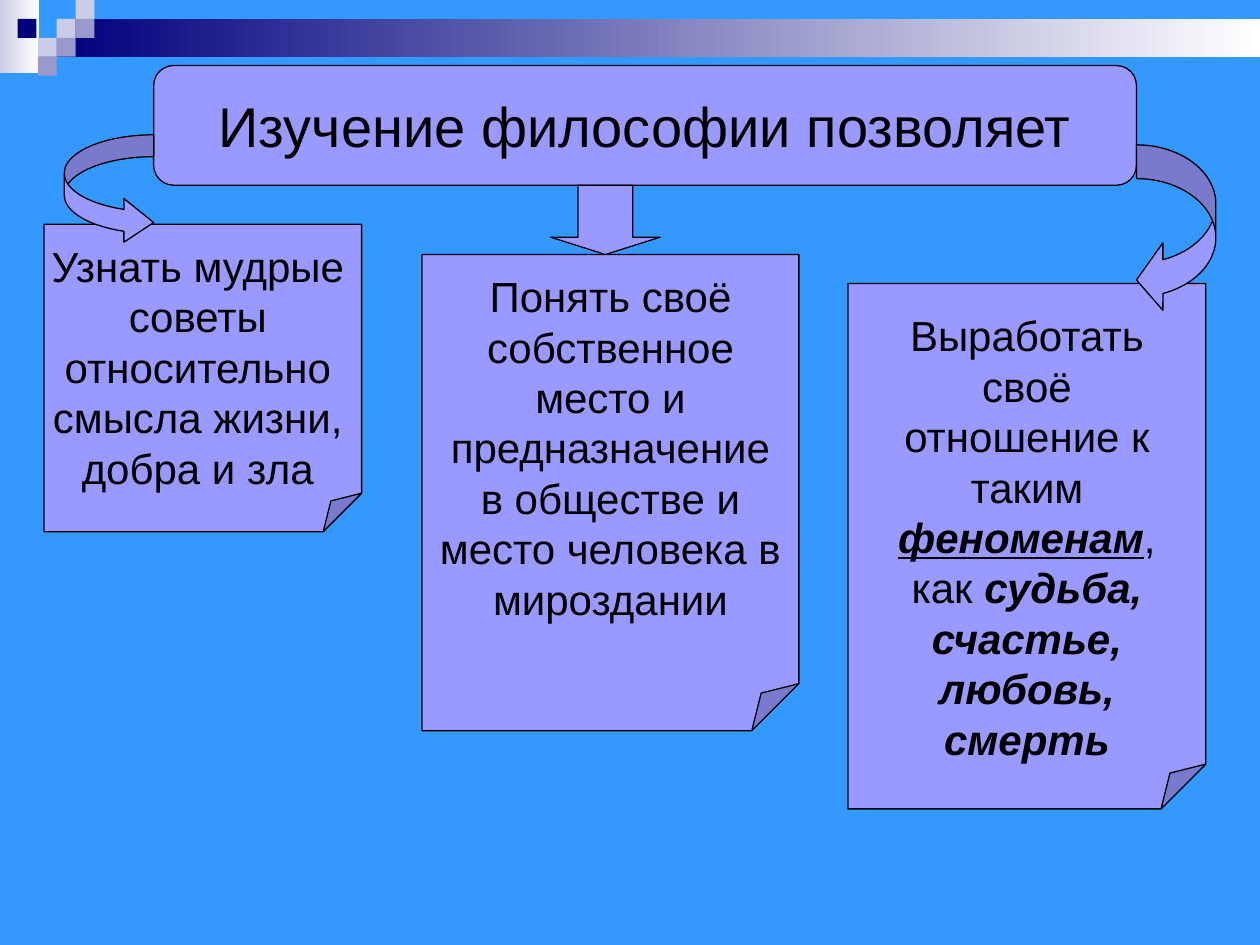
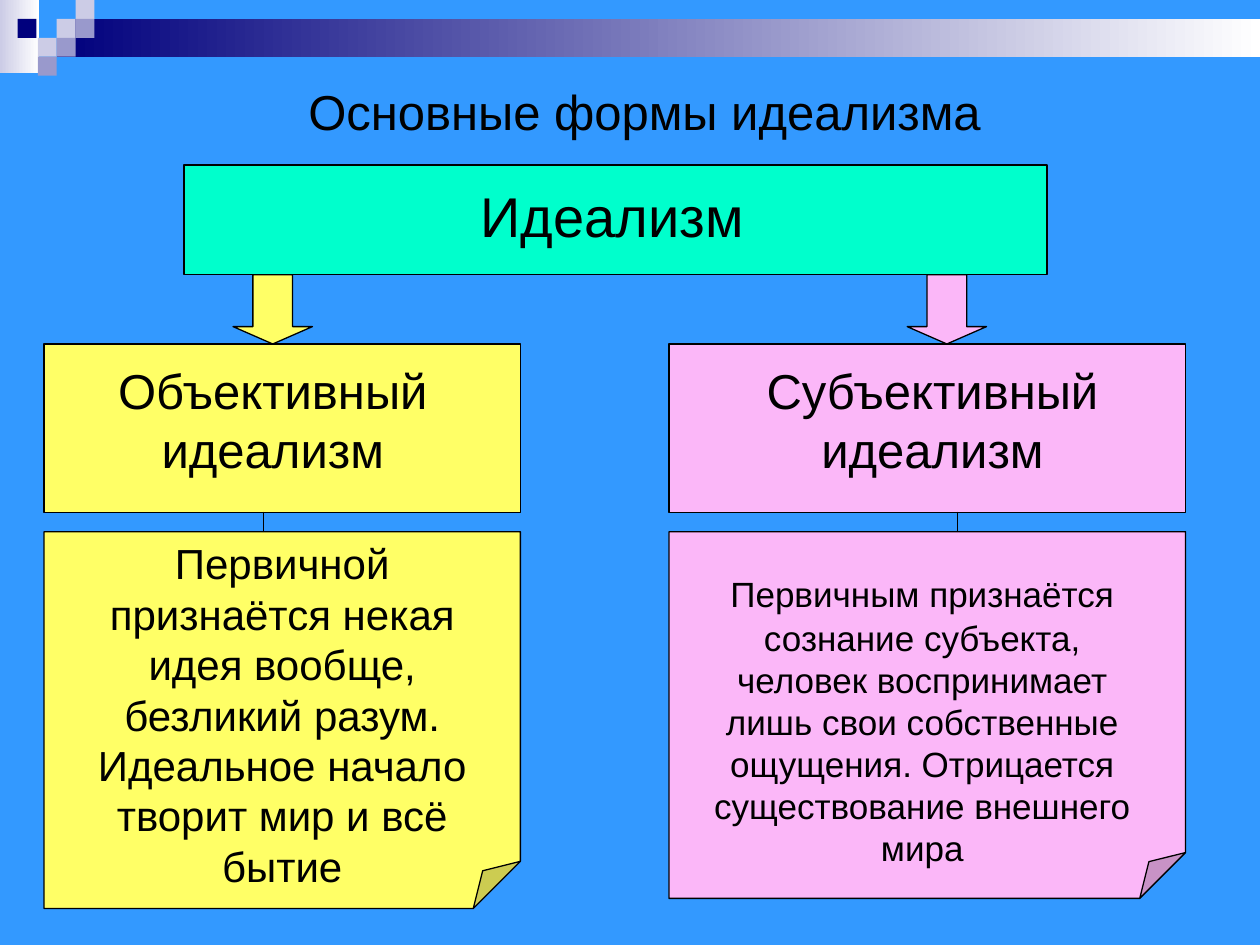
from dataclasses import dataclass
from lxml.etree import SubElement
from pptx import Presentation
from pptx.dml.color import RGBColor as RGB
from pptx.enum.shapes import MSO_CONNECTOR as CONN, MSO_SHAPE as SHAPE
from pptx.enum.text import MSO_ANCHOR as ANCHOR, MSO_AUTO_SIZE as AUTO, PP_ALIGN as ALIGN
from pptx.oxml.ns import qn
from pptx.util import Inches, Pt


@dataclass(frozen=True)
class Theme:
    font: str = "Arial"
    ink: str = "000000"
    sky: str = "3399FF"
    navy: str = "00007D"
    pale: str = "CCCCE6"
    dusk: str = "9999CC"
    white: str = "FFFFFF"
    violet: str = "9999FF"
    mint: str = "00FFCC"
    yellow: str = "FFFF66"
    pink: str = "FBB7F8"
    head: int = 32
    sub: int = 28
    body: int = 24
    small: int = 20
    line: float = 0.75


T = Theme()


def add_box(s, kind, at, fill, adj=(), outline=True):
    sp = s.shapes.add_shape(kind, *map(Inches, at))
    sp.shadow.inherit = False
    if adj:
        guides = sp._element.spPr.find(qn("a:prstGeom")).find(qn("a:avLst"))
        guides.clear()
        for i, value in enumerate(adj, 1):
            name = "adj" if len(adj) == 1 else f"adj{i}"
            SubElement(guides, qn("a:gd"), name=name, fmla=f"val {round(value * 100000)}")
    if isinstance(fill, tuple):
        sp.fill.gradient()
        sp.fill.gradient_angle = 0
        for stop, color in zip(sp.fill.gradient_stops, fill):
            stop.color.rgb = RGB.from_string(color)
    else:
        sp.fill.solid()
        sp.fill.fore_color.rgb = RGB.from_string(fill)
    if outline:
        sp.line.color.rgb = RGB.from_string(T.ink)
        sp.line.width = Pt(T.line)
    else:
        sp.line.fill.background()
    return sp


def add_text(s, at, size, runs, title=False):
    box = [Inches(v) for v in at]
    if title:
        sp = s.shapes.title
        sp.left, sp.top, sp.width, sp.height = box
        s.shapes._spTree.append(sp._element)
    else:
        sp = s.shapes.add_textbox(*box)
    tf = sp.text_frame
    tf.word_wrap = True
    tf.auto_size = AUTO.NONE
    tf.vertical_anchor = ANCHOR.TOP
    p = tf.paragraphs[0]
    p.alignment = ALIGN.CENTER
    p.font.name = T.font
    p.font.size = Pt(size)
    p.font.color.rgb = RGB.from_string(T.ink)
    for text, style in runs:
        r = p.add_run()
        r.text = text
        if "b" in style:
            r.font.bold = r.font.italic = True
        if "u" in style:
            r.font.underline = True
        if "l" in style:
            r.font.size = Pt(T.sub)


prs = Presentation()
prs.slide_width, prs.slide_height = Inches(10), Inches(7.5)
master = prs.slide_master
master.background.fill.solid()
master.background.fill.fore_color.rgb = RGB.from_string(T.sky)
title_only = prs.slide_layouts[5]

s = prs.slides.add_slide(title_only)

tile = 0.15
band = [
    ((0, 0, 0.31, 0.58), (T.pale, T.white)),
    ((0.45, tile, 9.55, 0.3), (T.navy, T.white)),
]
tiles = [(3, 1, T.pale), (4, 0, T.pale), (4, 1, T.dusk), (2, 2, T.pale),
         (0.93, 1, T.navy), (3, 2, T.dusk), (2, 3, T.dusk)]
band += [((col * tile, row * tile, tile, tile), color) for col, row, color in tiles]
for i, (at, fill) in enumerate(band):
    sp = add_box(s, SHAPE.RECTANGLE, at, fill, outline=False)
    sp._element.nvSpPr.cNvPr.id = 100 + i
    master.shapes._spTree.insert(2 + i, sp._element)

add_box(s, SHAPE.ROUNDED_RECTANGLE, (1.22, 0.52, 7.8, 0.95), T.violet, (0.167,))
add_text(s, (1.46, 0.68, 7.32, 0.63), T.head, [("Изучение философии позволяет", "")], title=True)

notes = [
    ((0.35, 1.78, 2.52, 2.44), (0.27, 1.86, 2.6, 2.1),
     [("Узнать мудрые советы относительно смысла жизни, добра и зла", "")]),
    ((3.35, 2.02, 2.99, 3.78), (3.35, 2.1, 2.99, 2.9),
     [("Понять своё собственное место и предназначение в обществе и место человека в мироздании", "")]),
    ((6.73, 2.25, 2.84, 4.17), (6.89, 2.41, 2.52, 3.69),
     [("Выработать своё отношение к таким ", ""), ("феноменам", "bu"), (", как ", ""),
      ("судьба, счастье, любовь, смерть", "b")]),
]
for note_at, text_at, runs in notes:
    add_box(s, SHAPE.FOLDED_CORNER, note_at, T.violet, (0.125,))
    add_text(s, text_at, T.body, runs)

arrows = [
    (SHAPE.CURVED_RIGHT_ARROW, (0.51, 1.07, 0.71, 0.87), (0.245, 0.489, 0.333)),
    (SHAPE.DOWN_ARROW, (4.37, 1.47, 0.87, 0.55), (0.5, 0.25)),
    (SHAPE.CURVED_LEFT_ARROW, (9.02, 1.15, 0.63, 1.34), (0.425, 0.85, 0.333)),
]
for kind, at, adj in arrows:
    add_box(s, kind, at, T.violet, adj)

s = prs.slides.add_slide(title_only)
add_text(s, (1.53, 0.6, 7.17, 0.57), T.sub, [("Основные формы идеализма", "")], title=True)
add_box(s, SHAPE.RECTANGLE, (1.46, 1.31, 6.85, 0.87), T.mint)
add_text(s, (1.77, 1.39, 6.3, 0.63), T.head, [("Идеализм ", "")])

forms = [
    (T.yellow, 0.35, 3.78, 2.99, 1.85, 2.09,
     (0.51, 2.81, 3.31, 1.03), "Объективный идеализм",
     (0.43, 4.22, 3.62, 2.9), T.body,
     [("Первичной признаётся некая идея вообще, безликий разум. "
       "Идеальное начало творит мир и всё бытие", "")]),
    (T.pink, 5.31, 4.1, 2.91, 7.2, 7.6,
     (5.39, 2.81, 4.02, 1.03), "Субъективный идеализм",
     (5.47, 4.38, 3.7, 2.57), T.small,
     [("Первичным признаётся", ""), (" ", "l"),
      ("сознание субъекта, человек воспринимает лишь свои собственные ощущения. "
       "Отрицается существование внешнего мира", "")]),
]
for color, left, width, note_h, arrow_x, link_x, name_at, name, text_at, size, runs in forms:
    add_box(s, SHAPE.RECTANGLE, (left, 2.73, width, 1.34), color)
    add_text(s, name_at, T.sub, [(name, "")])
    add_box(s, SHAPE.FOLDED_CORNER, (left, 4.22, width, note_h), color, (0.125,))
    add_text(s, text_at, size, runs)
    add_box(s, SHAPE.DOWN_ARROW, (arrow_x, 2.18, 0.63, 0.55), color, (0.5, 0.25))
    link = s.shapes.add_connector(CONN.STRAIGHT, *map(Inches, (link_x, 4.06, link_x, 4.22)))
    link.line.color.rgb = RGB.from_string(T.ink)
    link.line.width = Pt(T.line)
    SubElement(link._element.spPr, qn("a:effectLst"))

prs.save("out.pptx")
